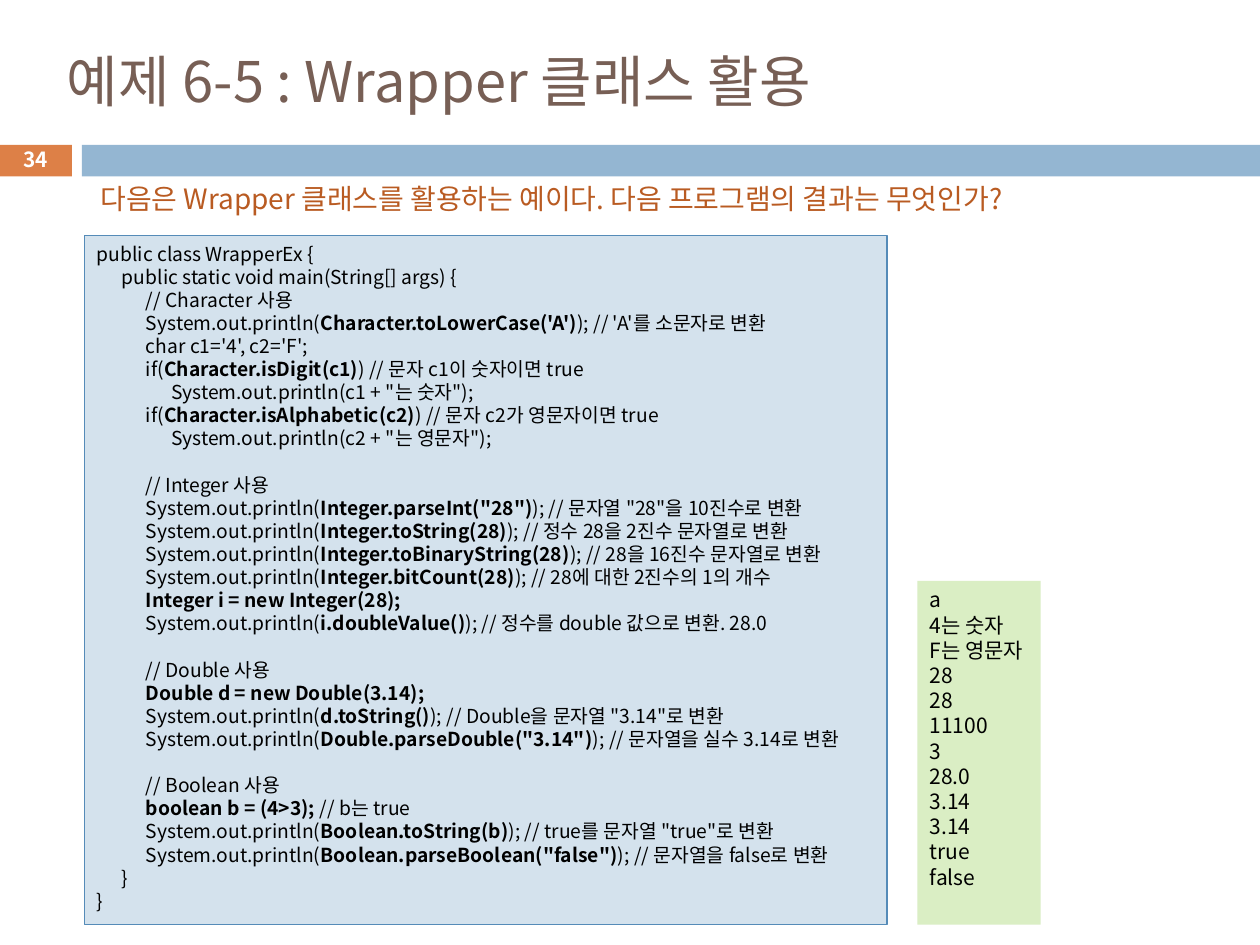
from lxml.etree import SubElement
from pptx import Presentation
from pptx.dml.color import RGBColor
from pptx.enum.shapes import MSO_SHAPE
from pptx.enum.text import MSO_ANCHOR, PP_ALIGN
from pptx.oxml.ns import qn
from pptx.util import Inches, Pt

FONT = "Noto Sans CJK KR"
LINE_HEIGHT = 1.2
TAB_STOPS = (0.2, 0.39, 0.59)

TITLE = "예제 6-5 : Wrapper 클래스 활용"
QUESTION = "다음은 Wrapper 클래스를 활용하는 예이다. 다음 프로그램의 결과는 무엇인가?"
PAGE_NUMBER = "34"

# Text between ** marks is bold; an empty line becomes space before the next one.
CODE = [
    'public class WrapperEx {',
    '\tpublic static void main(String[] args) {',
    '\t\t// Character 사용',
    "\t\tSystem.out.println(**Character.toLowerCase('A')**); // 'A'를 소문자로 변환",
    "\t\tchar c1='4', c2='F';",
    '\t\tif(**Character.isDigit(c1)**) // 문자 c1이 숫자이면 true',
    '\t\t\tSystem.out.println(c1 + "는 숫자");',
    '\t\tif(**Character.isAlphabetic(c2)**) // 문자 c2가 영문자이면 true',
    '\t\t\tSystem.out.println(c2 + "는 영문자");',
    '',
    '\t\t// Integer 사용',
    '\t\tSystem.out.println(**Integer.parseInt("28")**); // 문자열 "28"을 10진수로 변환',
    '\t\tSystem.out.println(**Integer.toString(28)**); // 정수 28을 2진수 문자열로 변환',
    '\t\tSystem.out.println(**Integer.toBinaryString(28)**); // 28을 16진수 문자열로 변환',
    '\t\tSystem.out.println(**Integer.bitCount(28)**); // 28에 대한 2진수의 1의 개수',
    '\t\t**Integer i = new Integer(28);**',
    '\t\tSystem.out.println(**i.doubleValue()**); // 정수를 double 값으로 변환. 28.0',
    '',
    '\t\t// Double 사용',
    '\t\t**Double d = new Double(3.14);**',
    '\t\tSystem.out.println(**d.toString()**); // Double을 문자열 "3.14"로 변환',
    '\t\tSystem.out.println(**Double.parseDouble("3.14")**); // 문자열을 실수 3.14로 변환',
    '',
    '\t\t// Boolean 사용',
    '\t\t**boolean b = (4>3); **// b는 true',
    '\t\tSystem.out.println(**Boolean.toString(b)**); // true를 문자열 "true"로 변환',
    '\t\tSystem.out.println(**Boolean.parseBoolean("false")**); // 문자열을 false로 변환',
    '\t}',
    '}',
]

OUTPUT = ["a", "4는 숫자", "F는 영문자", "28", "28", "11100", "3",
          "28.0", "3.14", "3.14", "true", "false"]


def color(hex_text):
    return RGBColor.from_string(hex_text)


def add_tab_stops(para):
    tabs = SubElement(para._p.get_or_add_pPr(), qn("a:tabLst"))
    for stop in TAB_STOPS:
        SubElement(tabs, qn("a:tab"), pos=str(Inches(stop)), algn="l")


def write(box, lines, size, ink="000000", bold=False, align=PP_ALIGN.LEFT,
          anchor=MSO_ANCHOR.TOP):
    """Fill a box with lines of text, setting ** marked parts in bold."""
    frame = box.text_frame
    frame.word_wrap = True
    frame.vertical_anchor = anchor
    line_height = Pt(size * LINE_HEIGHT)
    gap = 0
    para = None
    for line in lines:
        if not line:
            gap += line_height
            continue
        para = frame.paragraphs[0] if para is None else frame.add_paragraph()
        if "\t" in line:
            add_tab_stops(para)
        para.alignment = align
        para.line_spacing = line_height
        if gap:
            para.space_before = gap
        gap = 0
        for index, part in enumerate(line.split("**")):
            if not part:
                continue
            span = para.add_run()
            span.text = part
            span.font.size = Pt(size)
            span.font.name = FONT
            span.font.bold = bold or index % 2 == 1
            span.font.color.rgb = color(ink)
            SubElement(span.font._element, qn("a:ea"), typeface=FONT)


def add_panel(page, place, fill, line=None):
    panel = page.shapes.add_shape(MSO_SHAPE.RECTANGLE, *map(Inches, place))
    panel.shadow.inherit = False
    panel.fill.solid()
    panel.fill.fore_color.rgb = color(fill)
    if line:
        panel.line.color.rgb = color(line)
        panel.line.width = Pt(0.75)
    else:
        panel.line.fill.background()
    return panel


def add_label(page, place):
    return page.shapes.add_textbox(*map(Inches, place))


def main():
    deck = Presentation()
    deck.slide_width, deck.slide_height = Inches(10), Inches(7.5)
    page = deck.slides.add_slide(deck.slide_layouts[5])

    title = page.shapes.title
    title.left, title.top = Inches(0.43), Inches(0.25)
    title.width, title.height = Inches(9.45), Inches(0.77)
    write(title, [TITLE], 32, ink="775F55", anchor=MSO_ANCHOR.MIDDLE)

    add_panel(page, (-0.01, 1.15, 0.58, 0.25), "DD8047")
    add_panel(page, (0.65, 1.15, 9.35, 0.25), "94B6D2")

    code_panel = add_panel(page, (0.67, 1.87, 6.37, 5.47), "D4E2ED", "558BB8")
    write(code_panel, CODE, 11)

    write(add_label(page, (0.7, 1.39, 8.55, 0.37)), [QUESTION], 16, ink="B95B22")

    output_panel = add_panel(page, (7.28, 4.61, 0.98, 2.73), "DAEEC4")
    write(output_panel, OUTPUT, 12)

    write(add_label(page, (-0.01, 1.13, 0.58, 0.27)), [PAGE_NUMBER], 11.9,
          ink="FFFFFF", bold=True, align=PP_ALIGN.CENTER,
          anchor=MSO_ANCHOR.MIDDLE)

    deck.save("out.pptx")


if __name__ == "__main__":
    main()
